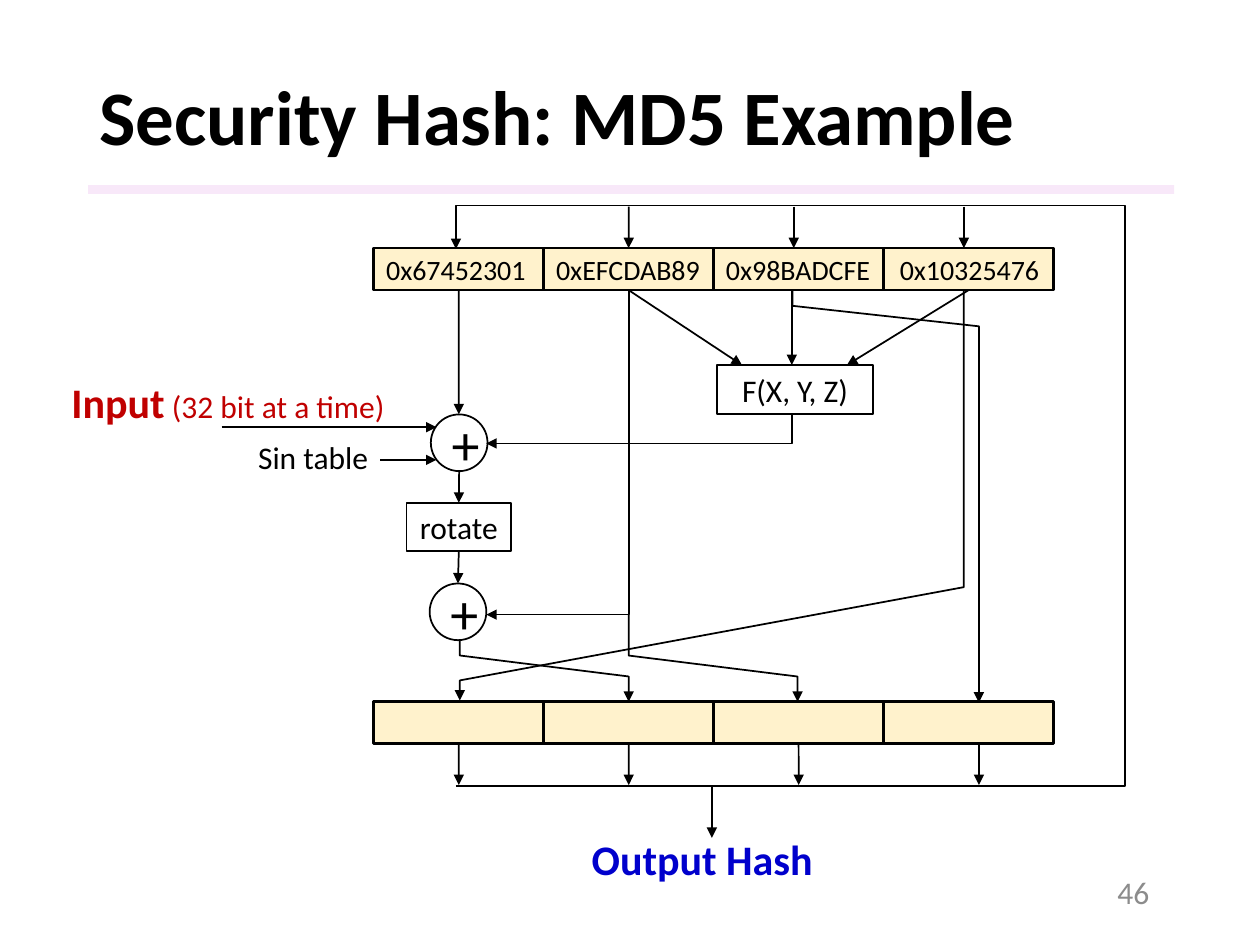
from lxml import etree
from pptx import Presentation
from pptx.dml.color import RGBColor
from pptx.enum.shapes import MSO_CONNECTOR, MSO_SHAPE
from pptx.enum.text import MSO_ANCHOR, MSO_AUTO_SIZE, PP_ALIGN
from pptx.oxml.ns import qn
from pptx.util import Pt

RECT, OVAL = MSO_SHAPE.RECTANGLE, MSO_SHAPE.OVAL
STRAIGHT = MSO_CONNECTOR.STRAIGHT
MIDDLE, TOP = MSO_ANCHOR.MIDDLE, MSO_ANCHOR.TOP
LEFT, CENTER, RIGHT = PP_ALIGN.LEFT, PP_ALIGN.CENTER, PP_ALIGN.RIGHT
FIT = MSO_AUTO_SIZE.SHAPE_TO_FIT_TEXT

THEME = {
    "font": "Calibri",
    "ink": "000000", "paper": "FFFFFF", "register": "FFF2CC", "rule": "F3D2F4",
    "input": "C00000", "output": "0000CC", "number": "8C8C8C",
    "title_size": 44, "plus_size": 32, "heading_size": 24, "body_size": 18, "hex_size": 16,
    "thin": 1, "thick": 1.5,
}

TITLE = "Security Hash: MD5 Example"
PAGE = "46"
REGISTERS = ["0x67452301", "0xEFCDAB89", "0x98BADCFE", "0x10325476"]
CELL_LEFT, CELL_WIDTH, CELL_HEIGHT = 213.6, 97.1, 24
ROW_TOPS = {"state": 141.8, "next": 401}
HEX_OFFSETS = [0, 0, 0, 2.2]

NODES = {
    "add_input": (OVAL, "+", "plus_size", (246.2, 236.8, 32.4, 32.4)),
    "function": (RECT, "F(X, Y, Z)", "body_size", (409.7, 208.6, 89.3, 28)),
    "rotate": (RECT, "rotate", "body_size", (232.2, 287.3, 60, 27.6)),
    "add_second": (OVAL, "+", "plus_size", (245.5, 333.4, 32.4, 32.4)),
}

CAPTIONS = [
    ([("Input", "heading_size", True), (" (32 bit at a time)", "body_size", False)],
     "input", (33.8, 211.7, 196, 36.3)),
    ([("Sin table", "body_size", False)], "ink", (140.4, 247, 78.5, 29)),
    ([("Output Hash", "heading_size", True)], "output", (331, 473, 142.6, 36.3)),
]

BOTTOM_SIDE, TOP_SIDE = 2, 0
ARROWS = [
    ((359.3, 165.8), (424, 208.6), ("state1", BOTTOM_SIDE), None),
    ((452.5, 165.8), (452.5, 208.6), None, None),
    ((553.4, 165.8), (484, 208.6), ("state3", BOTTOM_SIDE), None),
    ((262.2, 165.8), (262.2, 236.8), ("state0", BOTTOM_SIDE), None),
    ((262.4, 269.2), (262.2, 287.3), None, ("rotate", TOP_SIDE)),
    ((262.2, 314.9), (261.7, 333.4), ("rotate", BOTTOM_SIDE), None),
    ((217.4, 262.8), (249.4, 262.8), None, None),
    ((126.7, 244.1), (249.4, 244.1), None, None),
    ((559.4, 197.3), (559.4, 401.5), None, None),
    ((359.3, 118.1), (359.3, 141.8), None, ("state1", TOP_SIDE)),
    ((453.6, 118.1), (453.6, 141.8), None, None),
    ((550.8, 118.1), (550.8, 141.8), None, None),
    ((262.2, 425), (262.2, 448.6), ("next0", BOTTOM_SIDE), None),
    ((359.3, 425), (359.3, 448.6), ("next1", BOTTOM_SIDE), None),
    ((456.4, 425), (456.4, 448.6), ("next2", BOTTOM_SIDE), None),
    ((559.4, 425), (559.4, 448.6), None, None),
    ((406.8, 449.3), (406.8, 478.8), None, None),
]

BENT_WIRES = [
    ([(452.5, 236.8), (452.5, 253.4), (277.9, 253.4)], True),
    ([(359.3, 165.8), (359.3, 351.2), (277.9, 351.2)], True),
    ([(262.8, 365.8), (262.8, 374.6), (359.3, 386.6), (359.3, 401)], True),
    ([(359.3, 351.2), (359.3, 374.6), (455.8, 386.6), (455.8, 401)], True),
    ([(452.9, 165.8), (452.9, 174.8), (559.4, 186.5), (559.4, 200.9)], False),
    ([(550.8, 166.3), (550.8, 335.5), (262.8, 388.8), (262.8, 400.3)], True),
    ([(260.6, 449.3), (643, 449.3), (643, 117.4), (260.6, 117.4), (260.6, 142.3)], True),
]


def color(key):
    return RGBColor.from_string(THEME[key])


def points(values):
    return [Pt(value) for value in values]


def format_run(run, size, ink="ink", bold=False):
    run.font.name = THEME["font"]
    run.font.size = Pt(THEME[size])
    run.font.bold = bold
    run.font.color.rgb = color(ink)


def add_caption(slide, pieces, ink, bounds, anchor=TOP, align=LEFT, wrap=False):
    box = slide.shapes.add_textbox(*points(bounds))
    frame = box.text_frame
    frame.word_wrap = wrap
    frame.vertical_anchor = anchor
    if not wrap:
        frame.auto_size = FIT
    paragraph = frame.paragraphs[0]
    paragraph.alignment = align
    for words, size, bold in pieces:
        run = paragraph.add_run()
        run.text = words
        format_run(run, size, ink, bold)
    return paragraph


def add_box(slide, kind, bounds, fill, weight=None):
    box = slide.shapes.add_shape(kind, *points(bounds))
    box.shadow.inherit = False
    box.fill.solid()
    box.fill.fore_color.rgb = color(fill)
    if weight is None:
        box.line.fill.background()
    else:
        box.line.color.rgb = color("ink")
        box.line.width = Pt(THEME[weight])
    return box


def style_wire(wire, arrow):
    wire.line.color.rgb = color("ink")
    wire.line.width = Pt(THEME["thin"])
    if arrow:
        etree.SubElement(wire.line._get_or_add_ln(), qn("a:tailEnd"), type="triangle")


def add_arrow(slide, boxes, start, end, begin_join, end_join):
    arrow = slide.shapes.add_connector(STRAIGHT, *points(start + end))
    if begin_join:
        arrow.begin_connect(boxes[begin_join[0]], begin_join[1])
    if end_join:
        arrow.end_connect(boxes[end_join[0]], end_join[1])
    style_wire(arrow, True)
    etree.SubElement(arrow._element.spPr, qn("a:effectLst"))


def add_bent_wire(slide, corners, arrow):
    first, *rest = [tuple(points(corner)) for corner in corners]
    builder = slide.shapes.build_freeform(*first)
    builder.add_line_segments(rest, close=False)
    wire = builder.convert_to_shape()
    wire.shadow.inherit = False
    wire.fill.background()
    style_wire(wire, arrow)


def main():
    deck = Presentation()
    deck.slide_width, deck.slide_height = Pt(720), Pt(540)
    slide = deck.slides.add_slide(deck.slide_layouts[6])

    rule = add_box(slide, RECT, (50.4, 105.8, 620.6, 5), "rule")
    tint = rule._element.spPr.find(qn("a:solidFill"))[0]
    etree.SubElement(tint, qn("a:alpha"), val="50000")

    title = add_caption(slide, [(TITLE, "title_size", True)], "ink",
                        (49.7, 28.8, 620.6, 80), MIDDLE, wrap=True)
    title.line_spacing = 0.9
    add_caption(slide, [(PAGE, "body_size", False)], "number",
                (501.8, 495.4, 162, 28.8), MIDDLE, RIGHT, True)

    boxes = {}
    for row, top in ROW_TOPS.items():
        for column in range(len(REGISTERS)):
            bounds = (CELL_LEFT + column * CELL_WIDTH, top, CELL_WIDTH, CELL_HEIGHT)
            boxes[f"{row}{column}"] = add_box(slide, RECT, bounds, "register", "thick")

    for name, (kind, label, size, bounds) in NODES.items():
        node = add_box(slide, kind, bounds, "paper", "thin")
        node.text_frame.text = label
        node.text_frame.vertical_anchor = MIDDLE
        paragraph = node.text_frame.paragraphs[0]
        paragraph.alignment = CENTER
        format_run(paragraph.runs[0], size)
        boxes[name] = node

    for arrow in ARROWS:
        add_arrow(slide, boxes, *arrow)
    for corners, arrow in BENT_WIRES:
        add_bent_wire(slide, corners, arrow)

    for column, (value, offset) in enumerate(zip(REGISTERS, HEX_OFFSETS)):
        add_caption(slide, [(value, "hex_size", False)], "ink",
                    (CELL_LEFT + column * CELL_WIDTH + offset, 140.4, 98.6, 26.6), MIDDLE)
    for pieces, ink, bounds in CAPTIONS:
        add_caption(slide, pieces, ink, bounds)

    deck.save("out.pptx")


if __name__ == "__main__":
    main()
